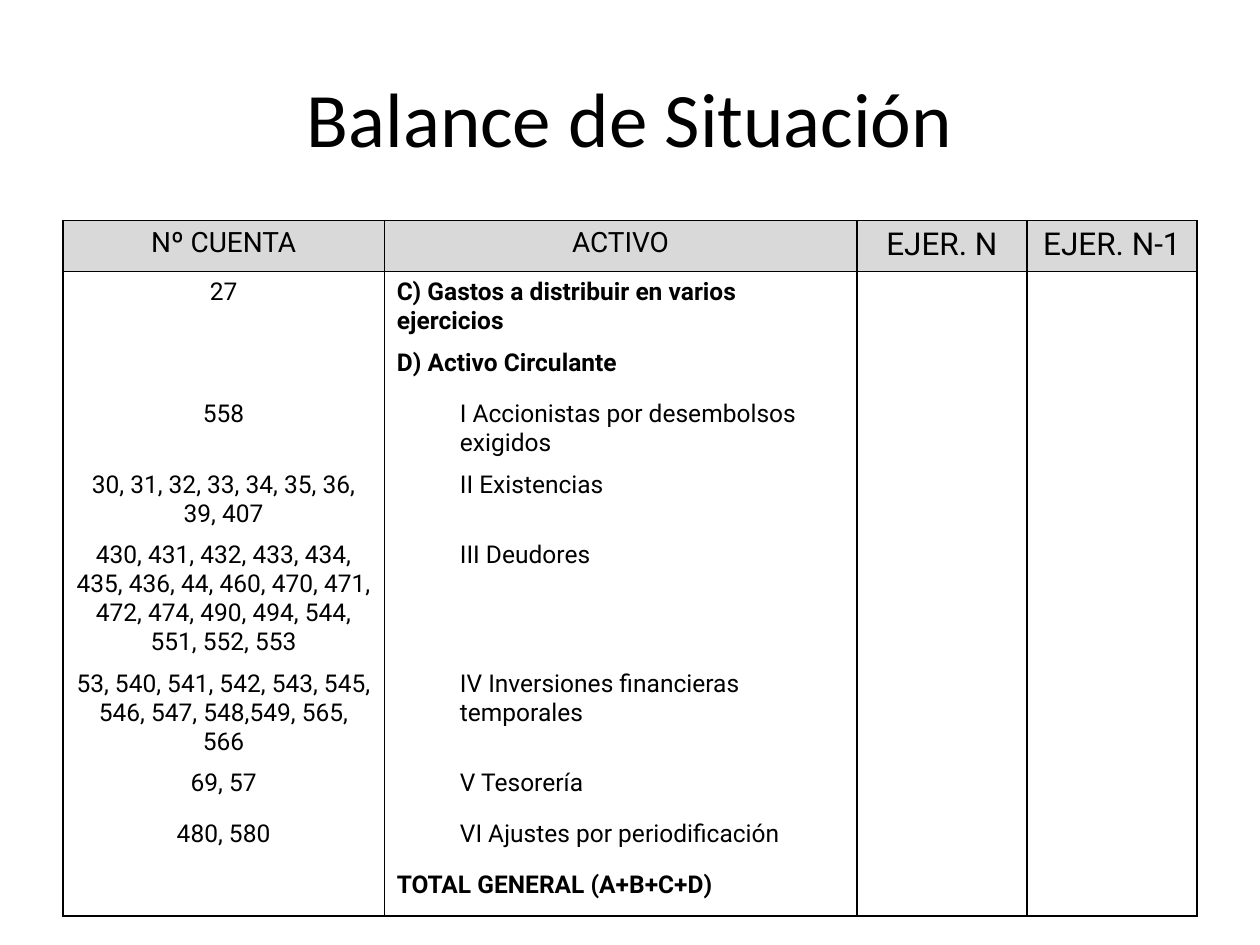
import pptx
import pptx.util
from dataclasses import dataclass
from lxml import etree
from pptx.dml.color import RGBColor
from pptx.enum.text import MSO_ANCHOR, PP_ALIGN
from pptx.oxml.ns import qn
from pptx.util import Pt


@dataclass(frozen=True)
class Theme:
    ink: str = "000000"
    header_fill: str = "D9D9D9"
    title_font: str = "Calibri"
    table_font: str = "Roboto"
    title_size: int = 44
    body_size: int = 14
    border: int = 1


THEME = Theme()
COL_WIDTHS = [183.6, 270, 97.2, 97.2]
ROW_HEIGHT = 29.2
INDENT = 36

# Header text and size
HEADER = [("Nº CUENTA", 16), ("ACTIVO", 16), ("EJER. N", 18), ("EJER. N-1", 18)]

# Account numbers, asset line, whether the line is a main heading
ROWS = [
    ("27", "C) Gastos a distribuir en varios ejercicios", True),
    ("", "D) Activo Circulante", True),
    ("558", "I Accionistas por desembolsos exigidos", False),
    ("30, 31, 32, 33, 34, 35, 36, 39, 407", "II Existencias", False),
    ("430, 431, 432, 433, 434, 435, 436, 44, 460, 470, 471, 472, 474, 490, "
     "494, 544, 551, 552, 553", "III Deudores", False),
    ("53, 540, 541, 542, 543, 545, 546, 547, 548,549, 565, 566",
     "IV Inversiones financieras temporales", False),
    ("69, 57", "V Tesorería", False),
    ("480, 580", "VI Ajustes por periodificación", False),
    ("", "TOTAL GENERAL (A+B+C+D)", True),
]


def format_paragraph(p, font, size, align, bold=False):
    p.alignment = align
    p.font.name = font
    p.font.size = Pt(size)
    p.font.bold = bold
    p.font.color.rgb = RGBColor.from_string(THEME.ink)


def add_title(s, text):
    title = s.shapes.title
    title.left, title.top, title.width, title.height = Pt(36), Pt(21.6), Pt(648), Pt(90)
    tf = title.text_frame
    tf.text = text
    tf.vertical_anchor = MSO_ANCHOR.MIDDLE
    format_paragraph(tf.paragraphs[0], THEME.title_font, THEME.title_size, PP_ALIGN.CENTER)


def set_borders(cell, sides):
    """Draw the given sides (letters of LRTB) and clear the others."""
    tcPr = cell._tc.get_or_add_tcPr()
    for side in "LRTB":
        ln = etree.SubElement(tcPr, qn("a:ln" + side), w=str(Pt(THEME.border)))
        if side in sides:
            fill = etree.SubElement(ln, qn("a:solidFill"))
            etree.SubElement(fill, qn("a:srgbClr"), val=THEME.ink)
        else:
            etree.SubElement(ln, qn("a:noFill"))


def fill_cell(cell, text, size, align, bold=False, indent=0):
    if not text:
        return
    cell.text = text
    p = cell.text_frame.paragraphs[0]
    format_paragraph(p, THEME.table_font, size, align, bold)
    if indent:
        p.level = 1
        pPr = p._p.get_or_add_pPr()
        pPr.set("marL", str(Pt(indent)))
        pPr.set("indent", "0")


def add_balance_table(s):
    n_rows = len(ROWS) + 1
    table = s.shapes.add_table(n_rows, len(COL_WIDTHS), Pt(36), Pt(126),
                               Pt(sum(COL_WIDTHS)), Pt(ROW_HEIGHT * n_rows)).table
    table.first_row = table.horz_banding = False
    for column, width in zip(table.columns, COL_WIDTHS):
        column.width = Pt(width)

    # Borders and fills: a boxed header above one open block
    for i, row in enumerate(table.rows):
        row.height = Pt(ROW_HEIGHT)
        sides = "LR" + ("T" if i < 2 else "") + ("B" if i in (0, n_rows - 1) else "")
        for cell in row.cells:
            set_borders(cell, sides)
            if i == 0:
                cell.fill.solid()
                cell.fill.fore_color.rgb = RGBColor.from_string(THEME.header_fill)
            else:
                cell.fill.background()

    # Header text
    for j, (text, size) in enumerate(HEADER):
        fill_cell(table.cell(0, j), text, size, PP_ALIGN.CENTER)

    # Account rows
    for i, (accounts, asset, heading) in enumerate(ROWS, start=1):
        fill_cell(table.cell(i, 0), accounts, THEME.body_size, PP_ALIGN.CENTER)
        fill_cell(table.cell(i, 1), asset, THEME.body_size, PP_ALIGN.LEFT,
                  bold=heading, indent=0 if heading else INDENT)


def main():
    prs = pptx.Presentation()
    prs.slide_width, prs.slide_height = Pt(720), Pt(540)
    s = prs.slides.add_slide(prs.slide_layouts[5])
    add_title(s, "Balance de Situación")
    add_balance_table(s)
    prs.save("out.pptx")


if __name__ == "__main__":
    main()
